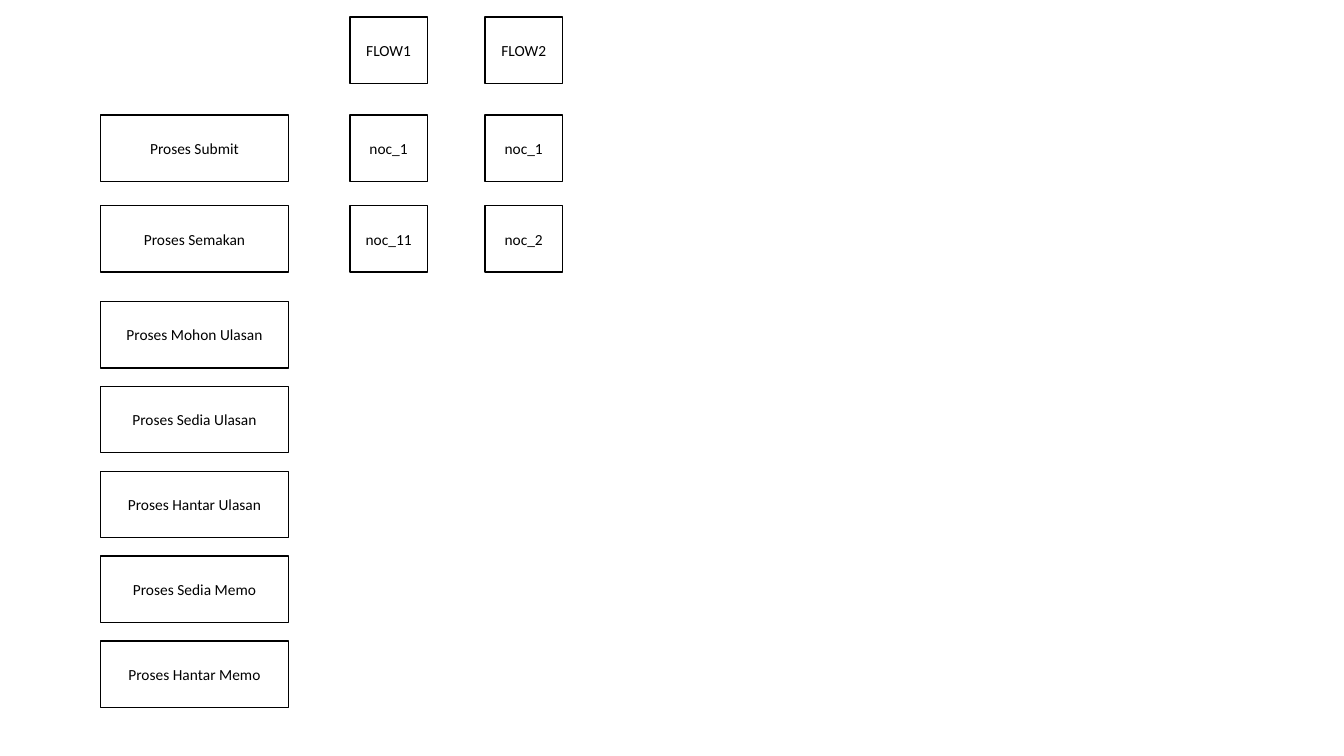
from pptx import Presentation
from pptx.dml.color import RGBColor
from pptx.enum.shapes import MSO_SHAPE
from pptx.enum.text import MSO_ANCHOR, PP_ALIGN
from pptx.util import Inches, Pt

BOX_HEIGHT = 0.66
HEADER_TOP = 0.17
REVIEW_TOPS = [1.14, 2.04]
FOLLOW_UP_TOP, LAST_TOP = 2.99, 6.36
PROCESSES = [
    "Proses Submit",
    "Proses Semakan",
    "Proses Mohon Ulasan",
    "Proses Sedia Ulasan",
    "Proses Hantar Ulasan",
    "Proses Sedia Memo",
    "Proses Hantar Memo",
]
FLOWS = [["FLOW1", "noc_1", "noc_11"], ["FLOW2", "noc_1", "noc_2"]]
FONT = {"name": "Calibri", "size": Pt(11)}


def color(value):
    return RGBColor.from_string(value)


def add_box(s, text, left, top, width):
    sp = s.shapes.add_shape(
        MSO_SHAPE.RECTANGLE, Inches(left), Inches(top), Inches(width), Inches(BOX_HEIGHT)
    )
    sp.shadow.inherit = False
    sp.fill.solid()
    sp.fill.fore_color.rgb = color("FFFFFF")
    sp.line.color.rgb = color("000000")
    sp.line.width = Pt(1)
    tf = sp.text_frame
    tf.word_wrap = True
    tf.vertical_anchor = MSO_ANCHOR.MIDDLE
    p = tf.paragraphs[0]
    p.alignment = PP_ALIGN.CENTER
    r = p.add_run()
    r.text = text
    for name, value in FONT.items():
        setattr(r.font, name, value)
    r.font.color.rgb = color("000000")


def add_column(s, labels, left, tops, width):
    for label, top in zip(labels, tops):
        add_box(s, label, left, top, width)


def add_flows(s, left, width, pitch):
    for i, labels in enumerate(FLOWS):
        add_column(s, labels, left + i * pitch, [HEADER_TOP] + REVIEW_TOPS, width)


def add_processes(s, left, width):
    steps = len(PROCESSES) - len(REVIEW_TOPS)
    pitch = (LAST_TOP - FOLLOW_UP_TOP) / (steps - 1)
    tops = REVIEW_TOPS + [FOLLOW_UP_TOP + i * pitch for i in range(steps)]
    add_column(s, PROCESSES, left, tops, width)


def main():
    prs = Presentation()
    prs.slide_width = Inches(13.33)
    prs.slide_height = Inches(7.5)
    s = prs.slides.add_slide(prs.slide_layouts[6])
    add_processes(s, 1, 1.86)
    add_flows(s, 3.47, 0.77, 1.34)
    prs.save("out.pptx")


if __name__ == "__main__":
    main()
